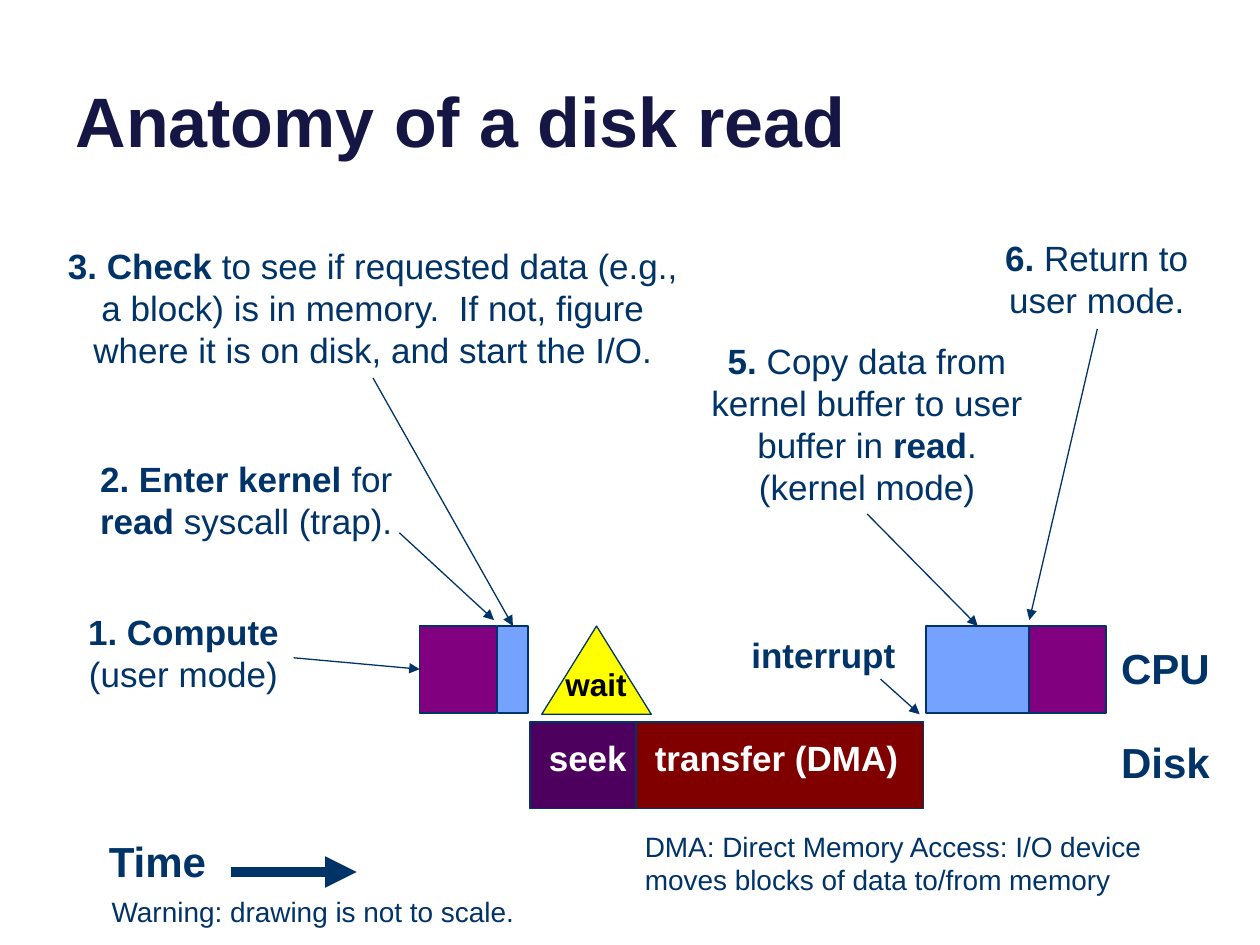
from typing import NamedTuple

from lxml import etree
from pptx import Presentation
from pptx import util as u
from pptx.dml.color import RGBColor
from pptx.enum import shapes, text
from pptx.oxml.ns import qn

NAVY = RGBColor(0x00, 0x33, 0x67)
TITLE_NAVY = RGBColor(0x16, 0x16, 0x45)
KERNEL_BLUE = RGBColor(0x75, 0xA2, 0xFF)
USER_PURPLE = RGBColor(0x80, 0x00, 0x80)
SEEK_VIOLET = RGBColor(0x4E, 0x00, 0x5F)
TRANSFER_RED = RGBColor(0x80, 0x00, 0x00)
WAIT_YELLOW = RGBColor(0xFF, 0xFF, 0x00)
WHITE = RGBColor(0xFF, 0xFF, 0xFF)
BLACK = RGBColor(0x00, 0x00, 0x00)
FONT = "Arial"


class Box(NamedTuple):
    """A rectangle in centimetres."""
    left: float
    top: float
    width: float
    height: float

    def inside(self, left, top, width, height):
        return Box(self.left + left, self.top + top, width, height)

    def point(self, x, y):
        return self.left + x, self.top + y

    def lengths(self):
        return [u.Cm(value) for value in self]


def write(frame, content, size=20, color=NAVY, align=None):
    """Write one paragraph per line; **marks** surround bold words."""
    for number, line in enumerate(content.split("\n")):
        para = frame.add_paragraph() if number else frame.paragraphs[0]
        para.alignment = align
        for index, words in enumerate(line.split("**")):
            if words:
                span = para.add_run()
                span.text = words
                span.font.name = FONT
                span.font.size = u.Pt(size)
                span.font.bold = index % 2 == 1
                span.font.color.rgb = color


def add_text(page, box, content, wrap=True, align=text.PP_ALIGN.CENTER, **style):
    frame = page.shapes.add_textbox(*box.lengths()).text_frame
    frame.word_wrap = wrap
    frame.auto_size = text.MSO_AUTO_SIZE.SHAPE_TO_FIT_TEXT
    write(frame, content, align=align, **style)


def add_block(page, box, fill, kind=shapes.MSO_SHAPE.RECTANGLE, weight=1):
    block = page.shapes.add_shape(kind, *box.lengths())
    block.shadow.inherit = False
    block.fill.solid()
    block.fill.fore_color.rgb = fill
    block.line.color.rgb = NAVY
    block.line.width = u.Pt(weight)
    return block


def add_arrow(page, start, end, weight=0.75):
    ends = [u.Cm(value) for value in (*start, *end)]
    arrow = page.shapes.add_connector(shapes.MSO_CONNECTOR.STRAIGHT, *ends)
    arrow.line.color.rgb = NAVY
    arrow.line.width = u.Pt(weight)
    etree.SubElement(arrow.line._get_or_add_ln(), qn("a:tailEnd"), type="triangle")
    etree.SubElement(arrow._element.spPr, qn("a:effectLst"))


def place_title(page, box):
    title = page.shapes.title
    title.left, title.top, title.width, title.height = box.lengths()
    frame = title.text_frame
    frame.vertical_anchor = text.MSO_ANCHOR.BOTTOM
    write(frame, "**Anatomy of a disk read**", size=40, color=TITLE_NAVY,
          align=text.PP_ALIGN.LEFT)


def place_timeline(page, box):
    """Draw the CPU row above the disk row, with their labels."""
    bar_height, disk_top, label_top = 1.75, 1.93, 2.11
    bars = [
        (1.57, 0, 0.61, KERNEL_BLUE),
        (0, 0, 1.55, USER_PURPLE),
        (2.23, disk_top, 2.13, SEEK_VIOLET),
        (4.37, disk_top, 5.79, TRANSFER_RED),
        (10.21, 0, 2.08, KERNEL_BLUE),
        (12.29, 0, 1.55, USER_PURPLE),
    ]
    for left, top, width, fill in bars:
        add_block(page, box.inside(left, top, width, bar_height), fill)

    wait = add_block(page, box.inside(2.46, 0, 2.21, 1.78), WAIT_YELLOW,
                     shapes.MSO_SHAPE.FLOWCHART_MERGE, weight=0.75)
    wait.rotation = 180
    add_text(page, box.inside(2.69, 0.66, 1.75, 1.02), "**wait**", wrap=False,
             align=text.PP_ALIGN.LEFT, size=18, color=BLACK)

    labels = [
        (1.7, label_top, 3.38, "**seek**", 20, WHITE),
        (4.44, label_top, 5.51, "**transfer (DMA)**", 20, WHITE),
        (5.28, 0.03, 5.72, "**interrupt**", 20, NAVY),
        (13.13, 0.21, 3.81, "**CPU**", 24, NAVY),
        (13.13, label_top, 3.81, "**Disk**", 24, NAVY),
    ]
    for left, top, width, words, size, color in labels:
        add_text(page, box.inside(left, top, width, size * 0.055), words,
                 size=size, color=color)
    add_arrow(page, box.point(9.29, 1.07), box.point(10.08, 1.78))


def place_steps(page, box):
    """Place each numbered step with the arrow to its moment."""
    steps = [
        ((0, 7.54, 5.72, 1.96), (5.08, 8.61), (7.62, 8.84),
         "**1. Compute**\n(user mode)"),
        ((0.63, 4.44, 6.99, 1.96), (7.21, 6.09), (9.12, 7.85),
         "**2. Enter kernel **for** read **syscall (trap)."),
        ((0.23, 0.15, 12.9, 2.82), (6.68, 2.97), (9.5, 7.97),
         "**3. Check** to see if requested data (e.g., a block) is in memory.  "
         "If not, figure where it is on disk, and start the I/O."),
        ((12.93, 2.06, 7.42, 3.68), (16.64, 5.71), (18.87, 7.97),
         "**5. **Copy data from kernel buffer to user buffer in **read**.\n"
         "(kernel mode)"),
        ((18.41, 0, 5.72, 1.96), (21.28, 1.98), (19.91, 7.85),
         "**6.** Return to user mode."),
    ]
    for place, start, end, words in steps:
        add_text(page, box.inside(*place), words)
        add_arrow(page, box.point(*start), box.point(*end))


def place_footer(page, box):
    add_text(page, box.inside(1.07, 0.12, 3.81, 1.3), "**Time**", size=24)
    add_arrow(page, box.point(4.45, 0.99), box.point(6.99, 0.99), weight=6)
    add_text(page, box.inside(12.55, 0, 12.22, 1.63),
             "DMA: Direct Memory Access: I/O device moves blocks of data "
             "to/from memory", size=16, align=text.PP_ALIGN.LEFT)
    add_text(page, box.inside(0, 1.32, 12.22, 0.94),
             "Warning: drawing is not to scale.", size=16)


def main():
    deck = Presentation()
    deck.slide_width, deck.slide_height = u.Cm(25.4), u.Cm(19.05)
    page = deck.slides.add_slide(deck.slide_layouts[5])
    place_title(page, Box(1.27, -0.94, 22.86, 4.32))
    place_timeline(page, Box(8.46, 12.62, 16.94, 3.68))
    place_steps(page, Box(0.84, 4.65, 24.13, 9.5))
    place_footer(page, Box(0.2, 16.59, 24.77, 2.26))
    deck.save("out.pptx")


if __name__ == "__main__":
    main()
